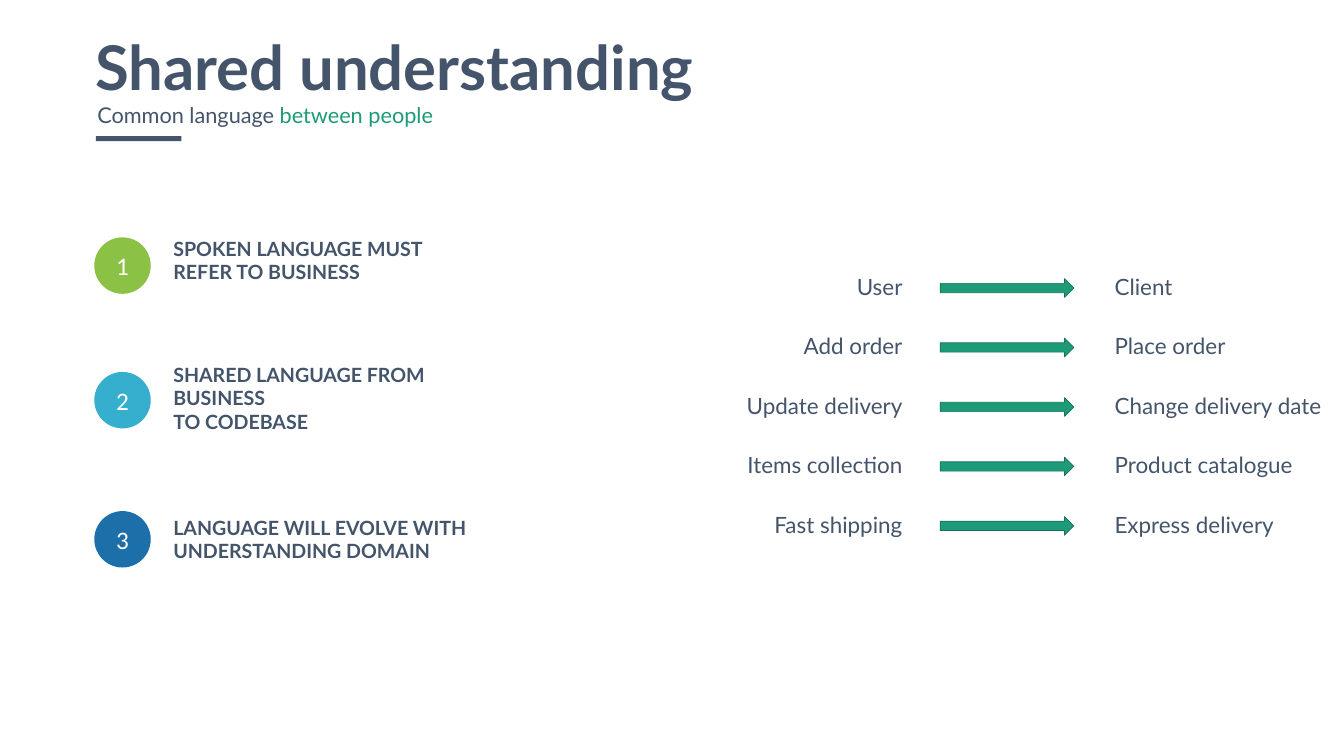
from lxml.etree import SubElement
from pptx import Presentation
from pptx.dml.color import RGBColor
from pptx.enum.shapes import MSO_SHAPE as Shape
from pptx.enum.text import MSO_ANCHOR as Anchor, MSO_AUTO_SIZE as AutoSize, PP_ALIGN as Align
from pptx.oxml.ns import qn
from pptx.util import Inches, Pt

SLATE = RGBColor(0x44, 0x54, 0x6A)
TEAL = RGBColor(0x1D, 0x9A, 0x78)
DARK_TEAL = RGBColor(0x15, 0x72, 0x59)
GREEN = RGBColor(0x8B, 0xC1, 0x45)
SKY = RGBColor(0x36, 0xAF, 0xCE)
BLUE = RGBColor(0x1D, 0x6F, 0xA9)
WHITE = RGBColor(0xFF, 0xFF, 0xFF)

# Colour, circle offset, text offset (from the top of the list) and lines
PRINCIPLES = [
    (GREEN, 0.07, 0, ["SPOKEN LANGUAGE MUST REFER TO BUSINESS"]),
    (SKY, 2.74, 2.74, ["SHARED LANGUAGE FROM BUSINESS", "TO CODEBASE"]),
    (BLUE, 5.5, 5.54, ["LANGUAGE WILL EVOLVE WITH", "UNDERSTANDING DOMAIN"]),
]
TERMS = [
    ("User", "Client"),
    ("Add order", "Place order"),
    ("Update delivery", "Change delivery date"),
    ("Items collection", "Product catalogue"),
    ("Fast shipping", "Express delivery"),
]


def place(shape, left, top, width, height):
    shape.left, shape.top = Inches(left), Inches(top)
    shape.width, shape.height = Inches(width), Inches(height)


def set_frame(frame, anchor, inset_x=0.1, inset_y=0.05):
    frame.word_wrap = True
    frame.auto_size = AutoSize.NONE
    frame.vertical_anchor = anchor
    frame.margin_left = frame.margin_right = Inches(inset_x)
    frame.margin_top = frame.margin_bottom = Inches(inset_y)


def set_font(font, size, color=SLATE, bold=False, name="Lato"):
    font.name, font.size, font.bold = name, Pt(size), bold
    font.color.rgb = color


def add_text(slide, box, lines, size, align=Align.LEFT, bold=False):
    frame = slide.shapes.add_textbox(*map(Inches, box)).text_frame
    set_frame(frame, Anchor.MIDDLE)
    frame.text = "\n".join(lines)
    for paragraph in frame.paragraphs:
        paragraph.alignment = align
        set_font(paragraph.font, size, bold=bold)


def add_filled(slide, kind, box, fill, line=None):
    shape = slide.shapes.add_shape(kind, *map(Inches, box))
    shape.shadow.inherit = False
    shape.fill.solid()
    shape.fill.fore_color.rgb = fill
    if line is None:
        shape.line.fill.background()
    else:
        shape.line.color.rgb = line
        shape.line.width = Pt(1)
    return shape


def add_header(slide, left, top):
    # Title
    title = slide.shapes.title
    place(title, left, top, 13.05, 1.58)
    set_frame(title.text_frame, Anchor.TOP)
    title.text_frame.text = "Shared understanding"
    heading = title.text_frame.paragraphs[0]
    heading.alignment = Align.LEFT
    set_font(heading.font, 88, bold=True)

    # Subtitle, without the template's bullet
    subtitle = slide.placeholders[1]
    place(subtitle, left - 0.1, top + 1.26, 7.36, 0.81)
    set_frame(subtitle.text_frame, Anchor.TOP, 0.24, 0.12)
    tagline = subtitle.text_frame.paragraphs[0]
    tagline.line_spacing = 1.2
    properties = tagline._p.get_or_add_pPr()
    properties.set("marL", "0")
    properties.set("indent", "0")
    SubElement(properties, qn("a:buNone"))
    for words, color in (("Common language ", SLATE), ("between people", TEAL)):
        run = tagline.add_run()
        run.text = words
        set_font(run.font, 31, color)

    # Underline
    add_filled(slide, Shape.RECTANGLE, (left + 0.11, top + 2.17, 1.7, 0.1), SLATE)


def add_principles(slide, left, top):
    diameter = 1.12
    for number, (color, circle_y, text_y, lines) in enumerate(PRINCIPLES, 1):
        circle = add_filled(slide, Shape.OVAL,
                            (left, top + circle_y, diameter, diameter), color)
        set_frame(circle.text_frame, Anchor.MIDDLE, 0.24, 0.12)
        circle.text_frame.text = str(number)
        label = circle.text_frame.paragraphs[0]
        label.alignment = Align.CENTER
        set_font(label.font, 36, WHITE, name="Calibri")
        add_text(slide, (left + 1.47, top + text_y, 6.2, 1.04), lines, 28, bold=True)


def add_terms(slide, left, top, pitch):
    text_width, arrow_width, row_height, arrow_height = 4.12, 2.65, 0.64, 0.37
    arrow_left = left + text_width + 0.65
    meaning_left = arrow_left + arrow_width + 0.71
    for row, (technical, business) in enumerate(TERMS):
        y = top + row * pitch
        add_text(slide, (left, y, text_width, row_height), [technical], 32, Align.RIGHT)
        add_filled(slide, Shape.RIGHT_ARROW,
                   (arrow_left, y + 0.17, arrow_width, arrow_height), TEAL, DARK_TEAL)
        add_text(slide, (meaning_left, y, 4.65, row_height), [business], 32)


def main():
    deck = Presentation()
    deck.slide_width, deck.slide_height = Inches(26.66), Inches(15)
    slide = deck.slides.add_slide(deck.slide_layouts.get_by_name("Title and Content"))
    add_header(slide, 1.79, 0.53)
    add_principles(slide, 1.87, 4.64)
    add_terms(slide, 13.88, 5.36, 1.18)
    deck.save("out.pptx")


if __name__ == "__main__":
    main()
